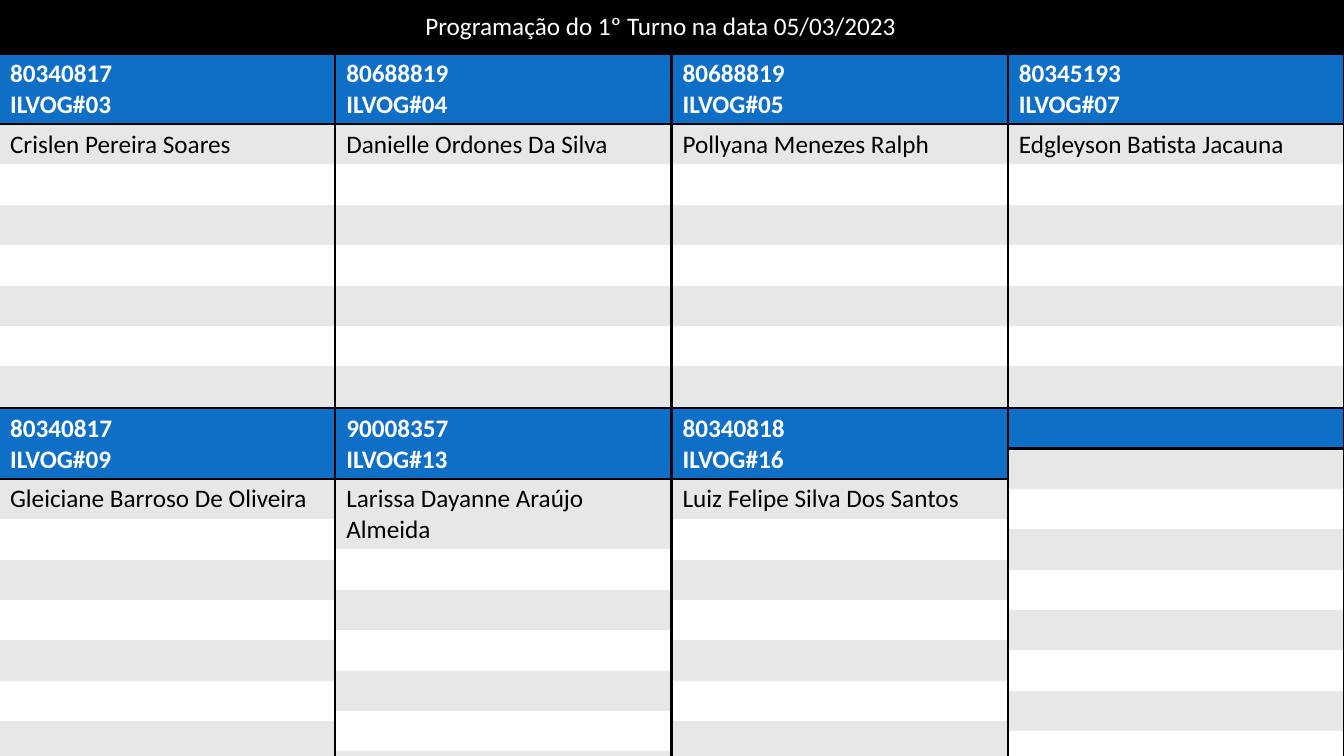
from dataclasses import dataclass

from lxml import etree
from pptx import Presentation
from pptx.dml.color import RGBColor
from pptx.enum.text import MSO_ANCHOR, MSO_AUTO_SIZE, PP_ALIGN
from pptx.oxml.ns import qn
from pptx.util import Pt

TOP = MSO_ANCHOR.TOP
LEFT = PP_ALIGN.LEFT
GROW = MSO_AUTO_SIZE.SHAPE_TO_FIT_TEXT
TITLE_ONLY = 5
PLAIN_TABLE_STYLE = "{2D5ABB26-0587-4C30-8999-92F81FD0307C}"

SLIDE_WIDTH, SLIDE_HEIGHT = 960, 540
COLUMN_PITCH = 240.2
TABLE_WIDTH, TABLE_HEIGHT = 238.6, 248.4
ROW_COUNT = 11
BAND_TOPS = (38.2, 291.6)

TITLE = "Programação do 1º Turno na data 05/03/2023"
SCHEDULE = (
    (
        (("80340817", "ILVOG#03"), "Crislen Pereira Soares"),
        (("80688819", "ILVOG#04"), "Danielle Ordones Da Silva"),
        (("80688819", "ILVOG#05"), "Pollyana Menezes Ralph"),
        (("80345193", "ILVOG#07"), "Edgleyson Batista Jacauna"),
    ),
    (
        (("80340817", "ILVOG#09"), "Gleiciane Barroso De Oliveira"),
        (("90008357", "ILVOG#13"), "Larissa Dayanne Araújo Almeida"),
        (("80340818", "ILVOG#16"), "Luiz Felipe Silva Dos Santos"),
        ((), ""),
    ),
)


@dataclass(frozen=True)
class Theme:
    font: str = "Calibri"
    size: float = 18
    black: str = "000000"
    white: str = "FFFFFF"
    header: str = "0F6FC6"
    stripe: str = "E7E7E7"
    border: float = 2


def write(frame, lines, *, font, size, color, bold=False):
    """Put one paragraph per line into a text frame."""
    for index, line in enumerate(lines):
        para = frame.add_paragraph() if index else frame.paragraphs[0]
        para.alignment = LEFT
        span = para.add_run()
        span.text = line
        span.font.name = font
        span.font.size = Pt(size)
        span.font.bold = bold
        span.font.color.rgb = RGBColor.from_string(color)


class SlideBuilder:
    def __init__(self, page, theme):
        self.page = page
        self.theme = theme

    def background(self):
        fill = self.page.background.fill
        fill.solid()
        fill.fore_color.rgb = RGBColor.from_string(self.theme.black)

    def title(self, text, left, top, width, height):
        box = self.page.shapes.title
        box.left, box.top, box.width, box.height = map(Pt, (left, top, width, height))
        frame = box.text_frame
        frame.word_wrap = False
        frame.auto_size = GROW
        frame.vertical_anchor = TOP
        write(frame, [text], font=self.theme.font, size=self.theme.size,
              color=self.theme.white)

    def cell_borders(self, cell, *sides):
        """Draw the given sides, in the schema order lnT, lnB."""
        properties = cell._tc.get_or_add_tcPr()
        for side in sides:
            line = etree.SubElement(properties, qn(f"a:{side}"),
                                    w=str(Pt(self.theme.border)))
            fill = etree.SubElement(line, qn("a:solidFill"))
            etree.SubElement(fill, qn("a:srgbClr"), val=self.theme.black)

    def machine_table(self, header, operator, left, top):
        theme = self.theme
        table = self.page.shapes.add_table(
            ROW_COUNT, 1, Pt(left), Pt(top), Pt(TABLE_WIDTH), Pt(TABLE_HEIGHT)).table
        table._tbl.tblPr.find(qn("a:tableStyleId")).text = PLAIN_TABLE_STYLE
        for row in range(ROW_COUNT):
            cell = table.cell(row, 0)
            if row == 0:
                self.cell_borders(cell, "lnT", "lnB")
            elif row == ROW_COUNT - 1:
                self.cell_borders(cell, "lnB")
            color = theme.stripe if row % 2 else theme.white
            cell.fill.solid()
            cell.fill.fore_color.rgb = RGBColor.from_string(
                color if row else theme.header)
        write(table.cell(0, 0).text_frame, header, font=theme.font,
              size=theme.size, color=theme.white, bold=True)
        if operator:
            write(table.cell(1, 0).text_frame, [operator], font=theme.font,
                  size=theme.size, color=theme.black)


def main():
    deck = Presentation()
    deck.slide_width, deck.slide_height = Pt(SLIDE_WIDTH), Pt(SLIDE_HEIGHT)
    page = deck.slides.add_slide(deck.slide_layouts[TITLE_ONLY])
    builder = SlideBuilder(page, Theme())
    builder.background()
    for top, machines in zip(BAND_TOPS, SCHEDULE):
        for column, (header, operator) in enumerate(machines):
            builder.machine_table(header, operator, column * COLUMN_PITCH, top)
    builder.title(TITLE, 296.6, 3.6, 368, 29)
    deck.save("out.pptx")


if __name__ == "__main__":
    main()
